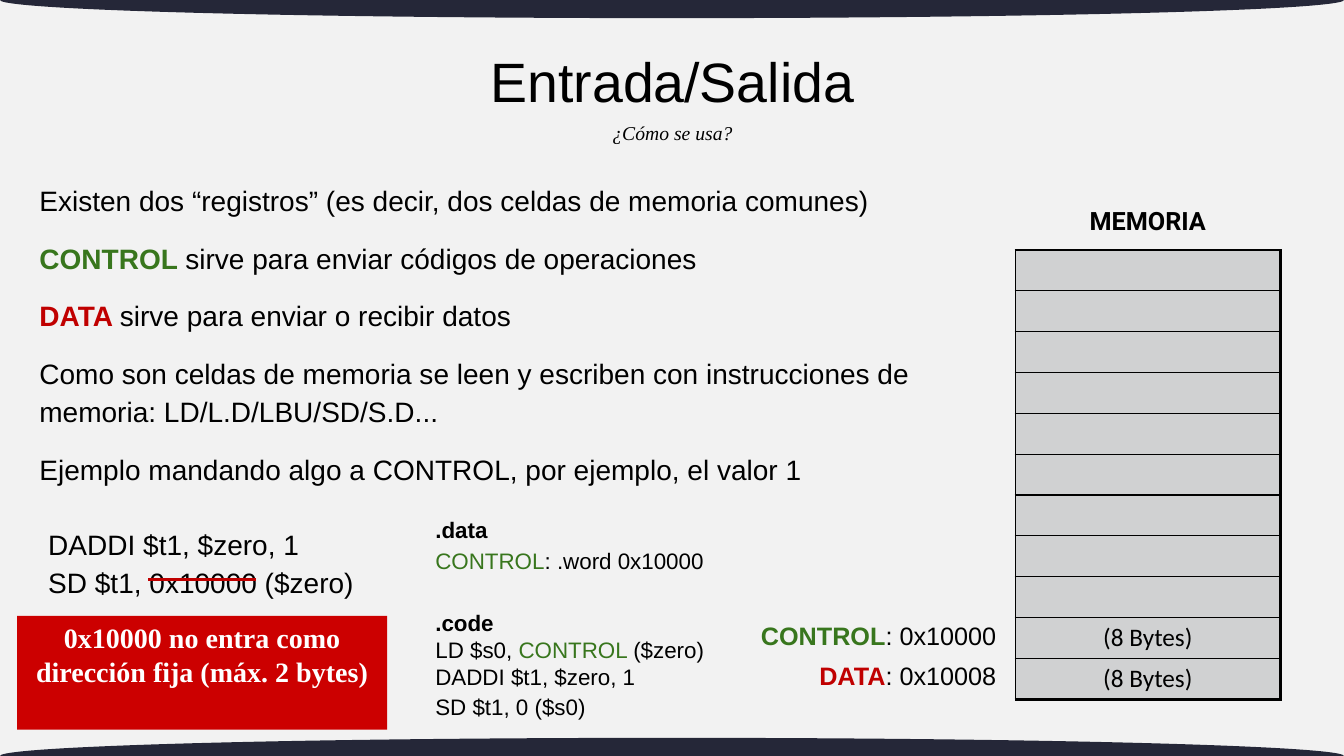
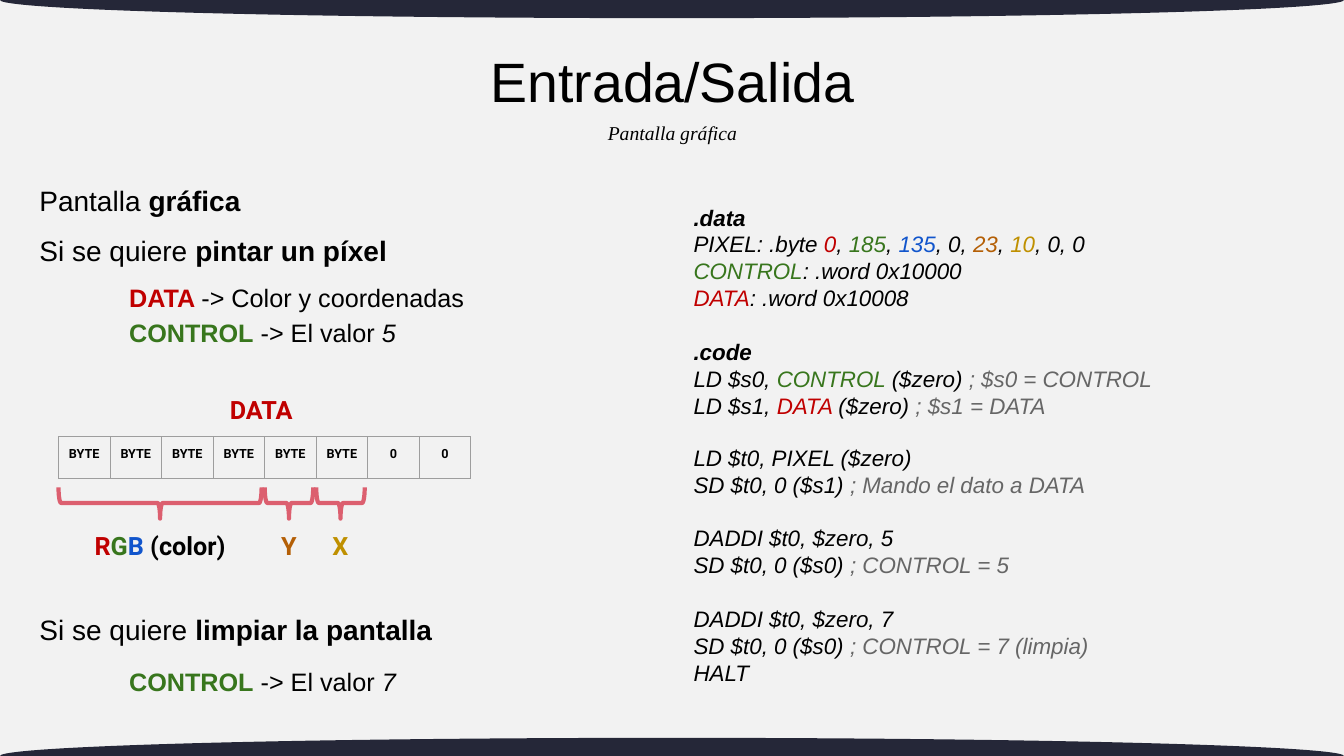
from dataclasses import dataclass
from typing import NamedTuple

import pptx
import pptx.dml.color
import pptx.enum.shapes
import pptx.enum.text
import pptx.oxml.ns
import pptx.util
from lxml import etree

Inches = pptx.util.Inches
Pt = pptx.util.Pt
qn = pptx.oxml.ns.qn
ALIGN = pptx.enum.text.PP_ALIGN
ANCHOR = pptx.enum.text.MSO_ANCHOR
SHAPE = pptx.enum.shapes.MSO_SHAPE

COLORS = {
    "background": "F2F2F2", "band": "252738", "text": "000000", "white": "FFFFFF",
    "control": "38761D", "data": "C00000", "blue": "1155CC", "y": "B45F06",
    "x": "BF9000", "comment": "666666", "alert": "CC0000", "brace": "DC5F6F",
    "cell": "D0D1D2", "grid": "9E9E9E",
}
SLIDE_W, SLIDE_H = 13.33, 7.5
BAND_H = 0.36


class Box(NamedTuple):
    left: float
    top: float
    width: float
    height: float

    def lengths(self) -> list:
        return [Inches(v) for v in self]


class Run(NamedTuple):
    text: str
    color: str = "text"
    bold: bool = False
    italic: bool = False


@dataclass
class Para:
    runs: list[Run]
    before: float = 0
    line: float = 1.0
    size: float | None = None
    indent: float = 0


@dataclass
class Style:
    size: float
    font: str = "Arial"
    align: ALIGN = ALIGN.LEFT
    anchor: ANCHOR = ANCHOR.TOP
    italic: bool = False
    inset: float = 0.05


class Brace(NamedTuple):
    first: int
    count: int
    label_width: float
    runs: list[Run]


BODY = Style(20)
CODE = Style(16, anchor=ANCHOR.MIDDLE)
LABEL = Style(18, "Roboto", ALIGN.CENTER)
CONTROL = Run("CONTROL", "control")
CONTROL_BOLD = Run("CONTROL", "control", True)


def rgb(name: str):
    return pptx.dml.color.RGBColor.from_string(COLORS[name])


def write(tf, paras: list[Para], style: Style) -> None:
    tf.word_wrap = True
    tf.auto_size = pptx.enum.text.MSO_AUTO_SIZE.NONE
    tf.vertical_anchor = style.anchor
    tf.margin_left = tf.margin_right = Inches(0.1)
    tf.margin_top = tf.margin_bottom = Inches(style.inset)
    fill_paragraphs(tf, paras, style)


def fill_paragraphs(tf, paras: list[Para], style: Style) -> None:
    for i, para in enumerate(paras):
        p = tf.add_paragraph() if i else tf.paragraphs[0]
        p.alignment = style.align
        p.line_spacing = para.line
        p.space_before, p.space_after = Pt(para.before), Pt(0)
        pPr = p._p.get_or_add_pPr()
        pPr.set("marL", str(Inches(para.indent)))
        pPr.set("indent", "0")
        etree.SubElement(pPr, qn("a:buNone"))
        for run in para.runs:
            r = p.add_run()
            r.text = run.text
            r.font.name = style.font
            r.font.size = Pt(para.size or style.size)
            r.font.bold = run.bold
            r.font.italic = run.italic or style.italic
            r.font.color.rgb = rgb(run.color)


def place(sp, box: Box) -> None:
    sp.left, sp.top, sp.width, sp.height = box.lengths()


def add_text(slide, box: Box, paras: list[Para], style: Style) -> None:
    sp = slide.shapes.add_textbox(*box.lengths())
    write(sp.text_frame, paras, style)


def fill_placeholder(sp, box: Box, paras: list[Para], style: Style) -> None:
    place(sp, box)
    write(sp.text_frame, paras, style)


def add_shape(slide, kind, box: Box, fill: str | None = None):
    sp = slide.shapes.add_shape(kind, *box.lengths())
    sp.shadow.inherit = False
    sp.line.fill.background()
    if fill:
        sp.fill.solid()
        sp.fill.fore_color.rgb = rgb(fill)
    else:
        sp.fill.background()
    return sp


def add_line(slide, x1: float, y1: float, x2: float, y2: float, color: str, width: float) -> None:
    ends = [Inches(v) for v in (x1, y1, x2, y2)]
    line = slide.shapes.add_connector(pptx.enum.shapes.MSO_CONNECTOR.STRAIGHT, *ends)
    line.line.color.rgb = rgb(color)
    line.line.width = Pt(width)
    etree.SubElement(line._element.spPr, qn("a:effectLst"))


def set_borders(cell, color: str, widths: dict[str, float]) -> None:
    tcPr = cell._tc.get_or_add_tcPr()
    for side in "LRTB":
        ln = etree.SubElement(tcPr, qn(f"a:ln{side}"), w=str(Pt(widths[side])))
        fill = etree.SubElement(ln, qn("a:solidFill"))
        etree.SubElement(fill, qn("a:srgbClr"), val=COLORS[color])


def add_grid(slide, rows: int, cols: int, box: Box):
    tbl = slide.shapes.add_table(rows, cols, *box.lengths()).table
    tbl.first_row = tbl.horz_banding = False
    for row in tbl.rows:
        row.height = Inches(box.height / rows)
    for col in tbl.columns:
        col.width = Inches(box.width / cols)
    return tbl


def write_cell(cell, text: str, style: Style, bold: bool = False) -> None:
    cell.margin_left = cell.margin_right = Inches(0.1)
    cell.margin_top = cell.margin_bottom = Inches(style.inset)
    fill_paragraphs(cell.text_frame, [Para([Run(text, bold=bold)])], style)


def new_slide(prs, layout: int, subtitle: str):
    slide = prs.slides.add_slide(prs.slide_layouts[layout])
    fill_placeholder(slide.shapes.title, Box(3.43, 0.37, 6.48, 0.94),
                     [Para([Run("Entrada/Salida")], line=0.9)],
                     Style(39.6, align=ALIGN.CENTER, anchor=ANCHOR.MIDDLE))
    add_text(slide, Box(4.4, 1.15, 4.54, 0.34), [Para([Run(subtitle)])],
             Style(14, "Times New Roman", ALIGN.CENTER, italic=True))
    return slide


def set_master(prs, slide) -> None:
    """Give the master its background and bands; the bands are drawn on a slide and moved."""
    master = prs.slide_master
    master.background.fill.solid()
    master.background.fill.fore_color.rgb = rgb("background")
    bands = [add_shape(slide, SHAPE.OVAL, Box(0, y - BAND_H / 2, SLIDE_W, BAND_H), "band")
             for y in (0, SLIDE_H)]
    for band in bands:
        master.shapes.element.insert(2, band.element)


def add_memory(slide) -> None:
    left, top, width, height, rows = 10.07, 2.48, 2.63, 4.46, 11
    add_text(slide, Box(left, 1.99, width, 0.5), [Para([Run("MEMORIA", bold=True)])], LABEL)
    tbl = add_grid(slide, rows, 1, Box(left, top, width, height))
    for i in range(rows):
        cell = tbl.cell(i, 0)
        set_borders(cell, "text", {"L": 1, "R": 2.25, "T": 1, "B": 2.25 if i == rows - 1 else 1})
        cell.fill.solid()
        cell.fill.fore_color.rgb = rgb("cell")
        write_cell(cell, "(8 Bytes)" if i >= rows - 2 else "", Style(18, "Calibri", ALIGN.CENTER))
    registers = [(CONTROL_BOLD, "0x10000"), (Run("DATA", "data", True), "0x10008")]
    for i, (name, address) in enumerate(registers):
        add_text(slide, Box(7.35, 6.08 + 0.4 * i, width, 0.4),
                 [Para([name, Run(f": {address}")], line=1.15)],
                 Style(18, align=ALIGN.RIGHT, anchor=ANCHOR.MIDDLE))


def usage_slide(prs):
    slide = new_slide(prs, 1, "¿Cómo se usa?")
    statements = [
        [Run("Existen dos “registros” (es decir, dos celdas de memoria comunes)")],
        [Run("CONTROL ", "control", True), Run("sirve para enviar códigos de operaciones")],
        [Run("DATA ", "data", True), Run("sirve para enviar o recibir datos")],
        [Run("Como son celdas de memoria se leen y escriben con instrucciones de "
             "memoria: LD/L.D/LBU/SD/S.D...")],
        [Run("Ejemplo mandando algo a CONTROL, por ejemplo, el valor 1")],
    ]
    fill_placeholder(slide.placeholders[1], Box(0.29, 1.72, 9.46, 3.18),
                     [Para(runs, before=13.5 if i else 0, line=1.15)
                      for i, runs in enumerate(statements)], BODY)
    add_memory(slide)
    add_text(slide, Box(0.38, 5, 3.24, 1.13),
             [Para([Run(t)], line=1.15) for t in ("DADDI $t1, $zero, 1", "SD $t1, 0x10000 ($zero)")],
             Style(20, anchor=ANCHOR.MIDDLE))
    add_text(slide, Box(4.22, 5.11, 3.24, 2.01), [
        Para([Run(".data", bold=True)], line=1.15),
        Para([CONTROL, Run(": .word 0x10000")], line=1.15),
        Para([Run(".code", bold=True)], before=22, line=1.15),
        Para([Run("LD $s0, "), Run("CONTROL ", "control"), Run("($zero)")]),
        Para([Run("DADDI $t1, $zero, 1")]),
        Para([Run("SD $t1, 0 ($s0)")], line=1.15),
    ], CODE)
    add_line(slide, 1.47, 5.75, 2.54, 5.75, "data", 2.25)
    warning = add_shape(slide, SHAPE.RECTANGLE, Box(0.17, 6.11, 3.67, 1.13), "alert")
    write(warning.text_frame,
          [Para([Run("0x10000 no entra como dirección fija (máx. 2 bytes)", "white", True)])],
          Style(20, "Times New Roman", ALIGN.CENTER))
    return slide


def add_pixel_bytes(slide) -> None:
    left, top, width, height = 0.58, 4.33, 4.09, 0.42
    names = ["BYTE"] * 6 + ["0"] * 2
    col = width / len(names)
    add_text(slide, Box(left, 3.86, 4.02, 0.42), [Para([Run("DATA", "data", True)])], LABEL)
    tbl = add_grid(slide, 1, len(names), Box(left, top, width, height))
    for i, name in enumerate(names):
        cell = tbl.cell(0, i)
        set_borders(cell, "grid", dict.fromkeys("LRTB", 0.75))
        cell.fill.background()
        write_cell(cell, name, Style(9, "Roboto", ALIGN.CENTER, inset=0.1), bold=True)
    braces = [
        Brace(0, 4, 1.59, [Run("R", "data", True), Run("G", "control", True),
                           Run("B ", "blue", True), Run("(color)", bold=True)]),
        Brace(4, 1, 0.42, [Run("Y", "y", True)]),
        Brace(5, 1, 0.42, [Run("X", "x", True)]),
    ]
    depth, middle = 0.31, 4.99
    for b in braces:
        span = b.count * col - 0.03
        center = left + b.first * col + span / 2
        sp = add_shape(slide, SHAPE.RIGHT_BRACE,
                       Box(center - depth / 2, middle - span / 2, depth, span))
        sp.rotation = 90
        sp.adjustments[0], sp.adjustments[1] = 0.083, 0.5
        sp.line.color.rgb = rgb("brace")
        sp.line.width = Pt(3)
        add_text(slide, Box(center - b.label_width / 2, 5.21, b.label_width, 0.42),
                 [Para(b.runs)], LABEL)


def screen_slide(prs) -> None:
    slide = new_slide(prs, 3, "Pantalla gráfica")
    fill_placeholder(slide.placeholders[1], Box(0.29, 1.72, 6.15, 1.75), [
        Para([Run("Pantalla "), Run("gráfica", bold=True)], line=1.15),
        Para([Run("Si se quiere "), Run("pintar un píxel", bold=True)], before=8, line=1.15),
        Para([Run("DATA ", "data", True), Run("-> Color y coordenadas")], 8, 1.15, 18, 0.89),
        Para([CONTROL_BOLD, Run(" -> El valor "), Run("5", italic=True)], 0, 1.15, 18, 0.89),
    ], BODY)
    fill_placeholder(slide.placeholders[2], Box(0.29, 5.98, 6.15, 1), [
        Para([Run("Si se quiere "), Run("limpiar la pantalla", bold=True)], line=1.15),
        Para([CONTROL_BOLD, Run(" -> El valor "), Run("7", italic=True)], 11, 1.15, 18, 0.89),
    ], BODY)
    comma = Run(", ")
    add_text(slide, Box(6.78, 1.92, 6.15, 5.21), [
        Para([Run(".data", bold=True)]),
        Para([Run("PIXEL: .byte "), Run("0", "data"), comma, Run("185", "control"), comma,
              Run("135", "blue"), Run(", 0, "), Run("23", "y"), comma, Run("10", "x"),
              Run(", 0, 0")]),
        Para([CONTROL, Run(": .word 0x10000")]),
        Para([Run("DATA", "data"), Run(": .word 0x10008")]),
        Para([Run(".code", bold=True)], before=19.2),
        Para([Run("LD $s0, "), Run("CONTROL ", "control"), Run("($zero) "),
              Run("; $s0 = CONTROL", "comment")]),
        Para([Run("LD $s1, "), Run("DATA ", "data"), Run("($zero) "),
              Run("; $s1 = DATA", "comment")]),
        Para([Run("LD $t0, PIXEL ($zero)")], before=18),
        Para([Run("SD $t0, 0 ($s1) "), Run("; Mando el dato a DATA", "comment")]),
        Para([Run("DADDI $t0, $zero, 5")], before=19.2),
        Para([Run("SD $t0, 0 ($s0) "), Run("; CONTROL = 5", "comment")]),
        Para([Run("DADDI $t0, $zero, 7")], before=19.2),
        Para([Run("SD $t0, 0 ($s0) "), Run("; CONTROL = 7 (limpia)", "comment")]),
        Para([Run("HALT")]),
    ], Style(16, italic=True, inset=0.1))
    add_pixel_bytes(slide)


def main() -> None:
    prs = pptx.Presentation()
    prs.slide_width, prs.slide_height = Inches(SLIDE_W), Inches(SLIDE_H)
    set_master(prs, usage_slide(prs))
    screen_slide(prs)
    prs.save("out.pptx")


if __name__ == "__main__":
    main()
